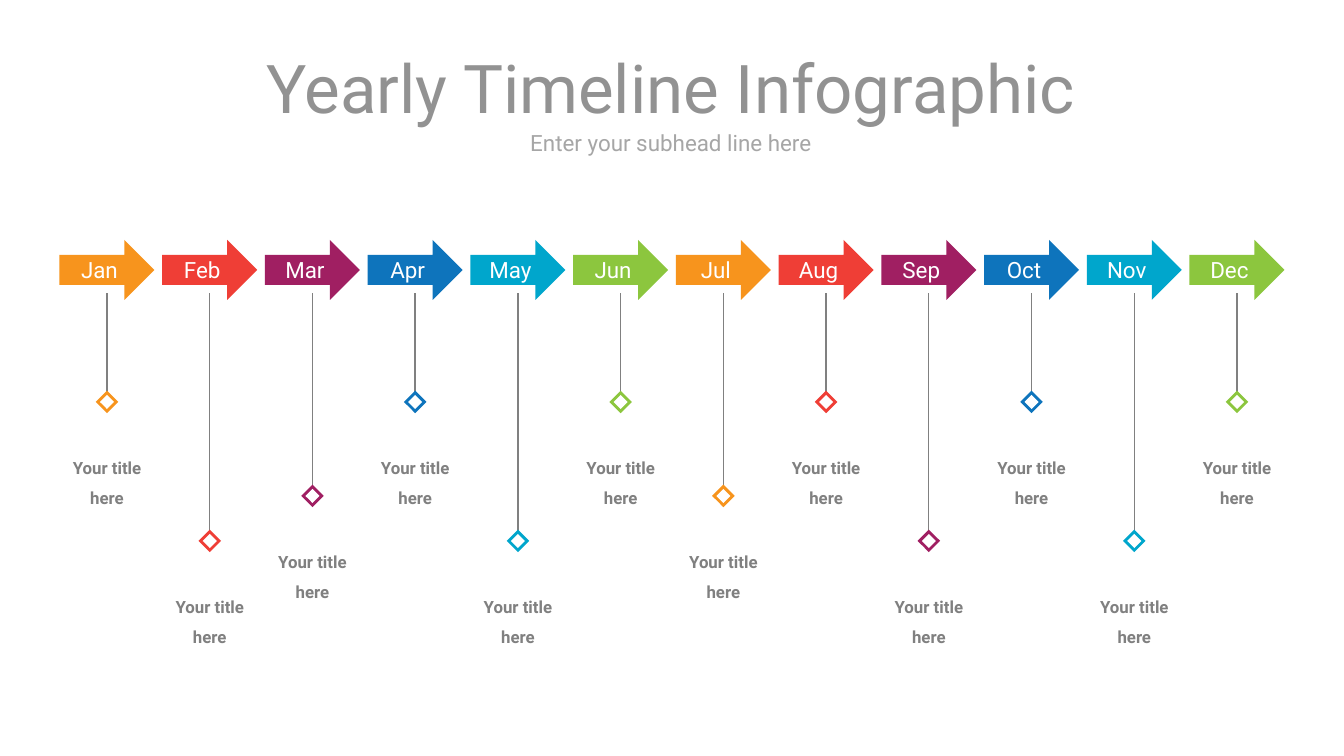
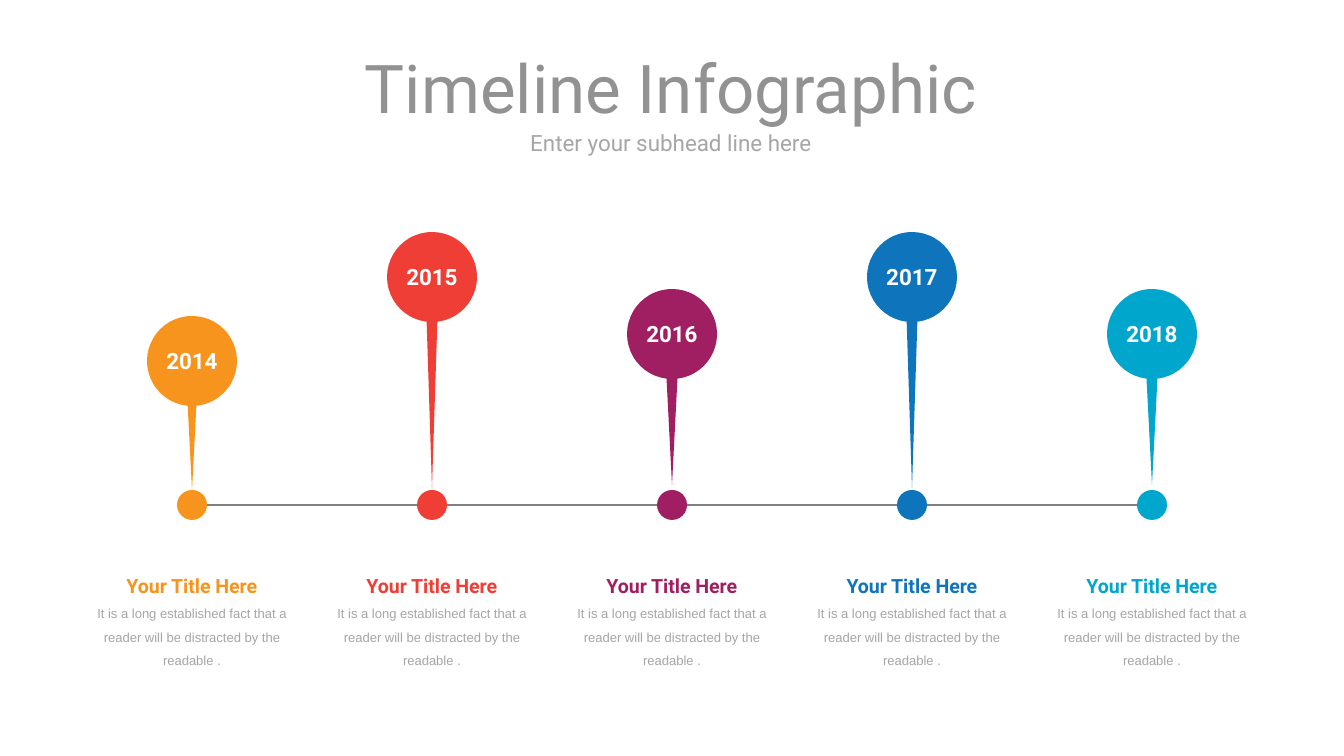
from lxml.etree import SubElement
from pptx import Presentation
from pptx.dml.color import RGBColor
from pptx.enum.shapes import MSO_CONNECTOR, MSO_SHAPE
from pptx.enum.text import MSO_ANCHOR, MSO_AUTO_SIZE, PP_ALIGN
from pptx.oxml.ns import qn
from pptx.util import Pt

EMU_PER_PX = 914400 / 134.4
PAGE_WIDTH, PAGE_HEIGHT = 1344, 756
HEADING_FONT, BODY_FONT = "Roboto", "Arial"
COLOURS = {
    "orange": "F7941D",
    "red": "EF3E36",
    "plum": "A01F62",
    "blue": "0E74BC",
    "cyan": "00A6CC",
    "green": "8CC63E",
    "white": "FFFFFF",
    "title": "929292",
    "muted": "A6A6A6",
    "line": "808080",
}
SERIES = ["orange", "red", "plum", "blue", "cyan", "green"]

MONTHS = [
    ("Jan", "short"), ("Feb", "long"), ("Mar", "middle"), ("Apr", "short"),
    ("May", "long"), ("Jun", "short"), ("Jul", "middle"), ("Aug", "short"),
    ("Sep", "long"), ("Oct", "short"), ("Nov", "long"), ("Dec", "short"),
]
FIRST_MONTH_X, LAST_MONTH_X = 107, 1237
ARROW_TOP, STEM_TOP = 240, 293
STEM_BOTTOMS = {"short": 394, "middle": 488, "long": 533}
MARKER_SIZE, MARKER_HOLE = 16, 10
LABEL_GAP = 54

YEARS = [
    ("2014", 316, 383, 107),
    ("2015", 232, 317, 171),
    ("2016", 289, 378, 107),
    ("2017", 232, 317, 171),
    ("2018", 289, 378, 107),
]
FIRST_YEAR_X, YEAR_STEP = 192, 240
BULB_SIZE, SPIKE_WIDTH, DOT_SIZE = 90, 11, 30
AXIS_Y = 505
YEAR_TEXT = "It is a long established fact that a reader will be distracted by the readable ."


def px(length):
    return round(length * EMU_PER_PX)


def colour(name):
    return RGBColor.from_string(COLOURS[name])


def write_para(para, text, size, colour_name, bold=False, font=HEADING_FONT, spacing=None):
    para.text = text
    para.alignment = PP_ALIGN.CENTER
    if spacing:
        para.line_spacing = spacing
    para.font.name = font
    para.font.size = Pt(size)
    para.font.bold = bold
    para.font.color.rgb = colour(colour_name)


def set_insets(frame, horizontal, vertical):
    frame.margin_left = frame.margin_right = px(horizontal)
    frame.margin_top = frame.margin_bottom = px(vertical)


def add_text(page, left, top, width, height, grows=False):
    box = page.shapes.add_textbox(px(left), px(top), px(width), px(height))
    frame = box.text_frame
    frame.word_wrap = True
    frame.vertical_anchor = MSO_ANCHOR.MIDDLE
    frame.auto_size = MSO_AUTO_SIZE.SHAPE_TO_FIT_TEXT if grows else MSO_AUTO_SIZE.NONE
    set_insets(frame, 0, 0)
    return frame


def add_filled(shapes, kind, center_x, top, width, height, colour_name, rotation=0):
    shape = shapes.add_shape(
        kind, px(center_x - width / 2), px(top), px(width), px(height))
    shape.shadow.inherit = False
    shape.fill.solid()
    shape.fill.fore_color.rgb = colour(colour_name)
    shape.line.fill.background()
    shape.rotation = rotation
    return shape


def caption_shape(shape, text, insets, bold=False):
    frame = shape.text_frame
    frame.word_wrap = True
    frame.vertical_anchor = MSO_ANCHOR.MIDDLE
    set_insets(frame, *insets)
    write_para(frame.paragraphs[0], text, 12, "white", bold)


def add_line(page, start_x, start_y, end_x, end_y):
    line = page.shapes.add_connector(
        MSO_CONNECTOR.STRAIGHT, px(start_x), px(start_y), px(end_x), px(end_y))
    line.line.color.rgb = colour("line")
    line.line.width = Pt(0.75)
    SubElement(line._element.spPr, qn("a:effectLst"))


def add_page(deck, title):
    page = deck.slides.add_slide(deck.slide_layouts[6])
    subhead = add_text(page, 56, 130, 1230, 26)
    write_para(subhead.paragraphs[0], "Enter your subhead line here", 12, "muted")
    heading = add_text(page, 56, 50, 1230, 73)
    write_para(heading.paragraphs[0], title, 36, "title")
    return page


def add_marker(page, center_x, top, colour_name):
    group = page.shapes.add_group_shape()
    hole_top = top + (MARKER_SIZE - MARKER_HOLE) / 2
    for size, square_top, fill in (
            (MARKER_SIZE, top, colour_name), (MARKER_HOLE, hole_top, "white")):
        add_filled(group.shapes, MSO_SHAPE.RECTANGLE, center_x, square_top,
                   size, size, fill, rotation=45)


def add_month(page, center_x, month, depth, colour_name):
    stem_bottom = STEM_BOTTOMS[depth]
    add_line(page, center_x, stem_bottom, center_x, STEM_TOP)
    arrow = add_filled(page.shapes, MSO_SHAPE.RIGHT_ARROW, center_x, ARROW_TOP,
                       95, 60, colour_name)
    caption_shape(arrow, month, (13, 7))
    label = add_text(page, center_x - 52, stem_bottom + LABEL_GAP, 104, 60, grows=True)
    write_para(label.paragraphs[0], "Your title here", 9, "line", bold=True, spacing=1.5)
    add_marker(page, center_x, stem_bottom, colour_name)


def add_year(page, center_x, year, bulb_top, spike_top, spike_height, colour_name):
    add_filled(page.shapes, MSO_SHAPE.OVAL, center_x, AXIS_Y - DOT_SIZE / 2,
               DOT_SIZE, DOT_SIZE, colour_name)
    pin = page.shapes.add_group_shape()
    add_filled(pin.shapes, MSO_SHAPE.ISOSCELES_TRIANGLE, center_x, spike_top,
               SPIKE_WIDTH, spike_height, colour_name, rotation=180)
    bulb = add_filled(pin.shapes, MSO_SHAPE.OVAL, center_x, bulb_top,
                      BULB_SIZE, BULB_SIZE, colour_name)
    caption_shape(bulb, year, (0, 7), bold=True)
    story = add_text(page, center_x - 97, 562, 194, 107, grows=True)
    write_para(story.paragraphs[0], "Your Title Here", 10.5, colour_name,
               bold=True, spacing=1.5)
    write_para(story.add_paragraph(), YEAR_TEXT, 7, "muted",
               font=BODY_FONT, spacing=1.5)


def build_months(deck):
    page = add_page(deck, "Yearly Timeline Infographic")
    step = (LAST_MONTH_X - FIRST_MONTH_X) / (len(MONTHS) - 1)
    for index, (month, depth) in enumerate(MONTHS):
        add_month(page, FIRST_MONTH_X + index * step, month, depth,
                  SERIES[index % len(SERIES)])


def build_years(deck):
    page = add_page(deck, "Timeline Infographic")
    last_x = FIRST_YEAR_X + YEAR_STEP * (len(YEARS) - 1)
    add_line(page, FIRST_YEAR_X + DOT_SIZE / 2, AXIS_Y, last_x - DOT_SIZE / 2, AXIS_Y)
    for index, (pin, colour_name) in enumerate(zip(YEARS, SERIES)):
        add_year(page, FIRST_YEAR_X + index * YEAR_STEP, *pin, colour_name)


def main():
    deck = Presentation()
    deck.slide_width = px(PAGE_WIDTH)
    deck.slide_height = px(PAGE_HEIGHT)
    build_months(deck)
    build_years(deck)
    deck.save("out.pptx")


if __name__ == "__main__":
    main()
